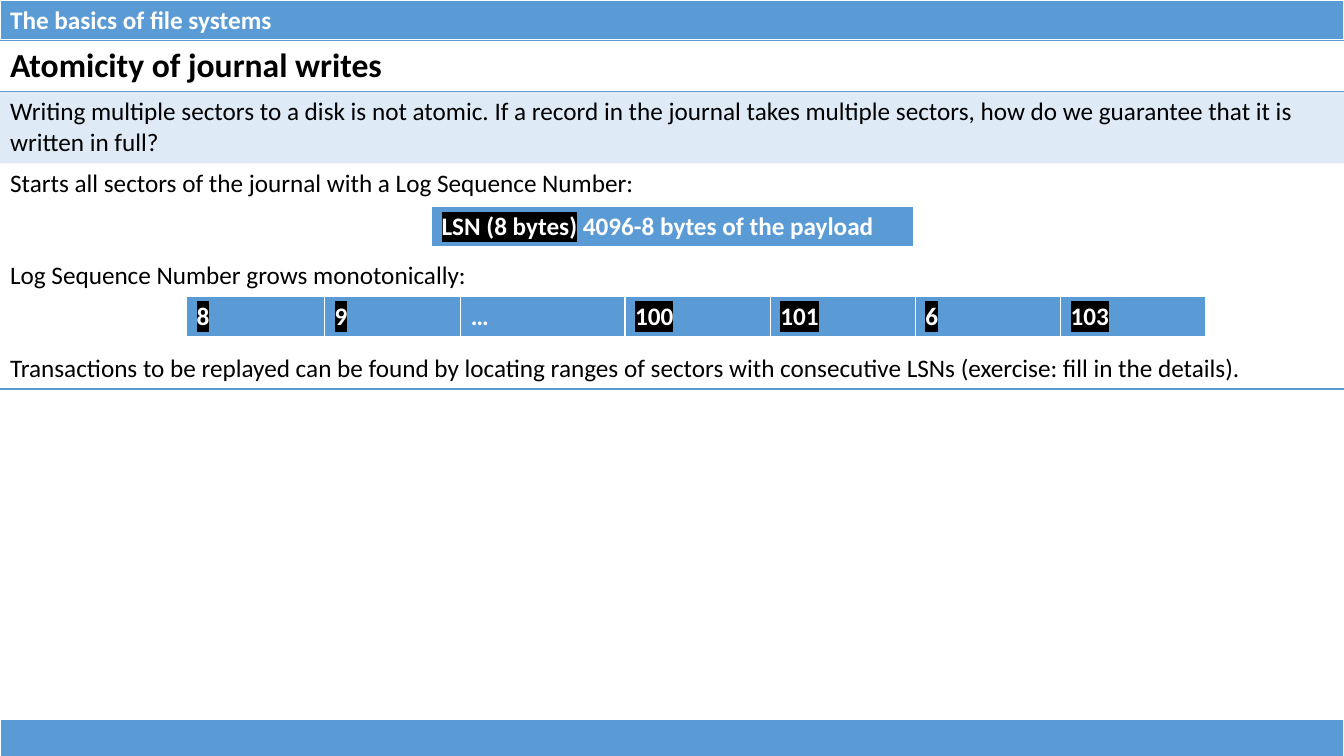
from dataclasses import dataclass, field

from lxml.etree import SubElement, Element
from pptx import Presentation
from pptx.dml.color import RGBColor
from pptx.oxml.ns import qn
from pptx.slide import Slide
from pptx.table import _Cell as Cell
from pptx.text.text import _Run as Span
from pptx.util import Inches, Pt


@dataclass(frozen=True)
class Theme:
    font: str = "Calibri"
    accent: str = "5B9BD5"
    light: str = "FFFFFF"
    dark: str = "000000"
    title_size: int = 24
    text_size: int = 18
    line_gap: int = 44
    tint_alpha: int = 20000


THEME = Theme()
PAGE_WIDTH = 13.33
PAGE_HEIGHT = 7.5
BAR_EDGES = {"L": (THEME.light, 1), "R": (THEME.light, 1),
             "T": (THEME.light, 1), "B": (THEME.light, 3)}
OPEN_EDGES = {side: edge for side, edge in BAR_EDGES.items() if side != "B"}
RULE = (THEME.accent, 1)


@dataclass(frozen=True)
class Piece:
    text: str
    marked: bool = False


@dataclass(frozen=True)
class Box:
    paras: list[list[Piece]] = field(default_factory=list)
    color: str = THEME.light
    size: int = THEME.text_size
    bold: bool = True
    fill: str | None = THEME.accent
    tinted: bool = False
    edges: dict[str, tuple[str, int]] = field(default_factory=lambda: BAR_EDGES)
    margin: float = 0.05


@dataclass(frozen=True)
class Grid:
    left: float
    top: float
    widths: list[float]
    heights: list[float]
    rows: list[list[Box]]


def add_color(parent: Element, color: str) -> Element:
    return SubElement(parent, qn("a:srgbClr"), val=color)


def draw_edges(cell: Cell, edges: dict[str, tuple[str, int]]) -> None:
    props = cell._tc.get_or_add_tcPr()
    for index, side in enumerate("LRTB"):
        color, points = edges.get(side, (None, 0))
        line = Element(qn(f"a:ln{side}"), w=str(Pt(points)))
        if color:
            add_color(SubElement(line, qn("a:solidFill")), color)
        else:
            SubElement(line, qn("a:noFill"))
        props.insert(index, line)


def format_span(span: Span, piece: Piece, box: Box) -> None:
    formats = {"name": THEME.font, "size": Pt(box.size), "bold": box.bold}
    for name, value in formats.items():
        setattr(span.font, name, value)
    span.font.color.rgb = RGBColor.from_string(box.color)
    if piece.marked:
        highlight = Element(qn("a:highlight"))
        add_color(highlight, THEME.dark)
        span._r.rPr.find(qn("a:solidFill")).addnext(highlight)


def draw_cell(cell: Cell, box: Box) -> None:
    cell.margin_top = cell.margin_bottom = Inches(box.margin)
    if box.fill:
        cell.fill.solid()
        cell.fill.fore_color.rgb = RGBColor.from_string(box.fill)
        if box.tinted:
            color = cell._tc.tcPr.find(".//" + qn("a:srgbClr"))
            SubElement(color, qn("a:alpha"), val=str(THEME.tint_alpha))
    else:
        cell.fill.background()
    draw_edges(cell, box.edges)
    frame = cell.text_frame
    for index, pieces in enumerate(box.paras):
        para = frame.add_paragraph() if index else frame.paragraphs[0]
        if index:
            para.space_before = Pt(THEME.line_gap)
        for piece in pieces:
            span = para.add_run()
            span.text = piece.text
            format_span(span, piece, box)


def draw_grid(page: Slide, grid: Grid) -> None:
    table = page.shapes.add_table(
        len(grid.heights), len(grid.widths), Inches(grid.left), Inches(grid.top),
        Inches(sum(grid.widths)), Inches(sum(grid.heights))).table
    table.first_row = table.horz_banding = False
    for column, width in zip(table.columns, grid.widths):
        column.width = Inches(width)
    for row, height, boxes in zip(table.rows, grid.heights, grid.rows):
        row.height = Inches(height)
        for cell, box in zip(row.cells, boxes):
            draw_cell(cell, box)


HEADER = Box([[Piece("The basics of file systems")]])
FOOTER = Box(edges=OPEN_EDGES, margin=0)
TITLE = Box([[Piece("Atomicity of journal writes")]], color=THEME.dark,
            size=THEME.title_size, fill=None, edges={"T": RULE, "B": RULE})
QUESTION = Box([[Piece("Writing multiple sectors to a disk is not atomic. If a record in the "
                       "journal takes multiple sectors, how do we guarantee that it is "
                       "written in full?")]],
               color=THEME.dark, bold=False, tinted=True, edges={"T": RULE})
ANSWER = Box([[Piece(text)] for text in (
    "Starts all sectors of the journal with a Log Sequence Number:",
    "Log Sequence Number grows monotonically:",
    "Transactions to be replayed can be found by locating ranges of sectors with "
    "consecutive LSNs (exercise: fill in the details).")],
    color=THEME.dark, bold=False, fill=None, edges={"B": RULE})
SECTOR = Box([[Piece("LSN (8 bytes)", True), Piece(" 4096-8 bytes of the payload")]])
NUMBERS = [Box([[Piece(text, text != "…")]])
           for text in ("8", "9", "…", "100", "101", "6", "103")]

GRIDS = [
    Grid(0, 0, [PAGE_WIDTH], [0.4], [[HEADER]]),
    Grid(0, 7.14, [PAGE_WIDTH], [0.36], [[FOOTER]]),
    Grid(0, 0.4, [PAGE_WIDTH], [0.51, 0.71, 2.23], [[TITLE], [QUESTION], [ANSWER]]),
    Grid(1.85, 2.94, [1.37, 1.35, 1.63] + [1.44] * 4, [0.41], [NUMBERS]),
    Grid(4.28, 2.05, [4.78], [0.41], [[SECTOR]]),
]


def main() -> None:
    deck = Presentation()
    deck.slide_width = Inches(PAGE_WIDTH)
    deck.slide_height = Inches(PAGE_HEIGHT)
    page = deck.slides.add_slide(deck.slide_layouts[6])
    for grid in GRIDS:
        draw_grid(page, grid)
    deck.save("out.pptx")


if __name__ == "__main__":
    main()
